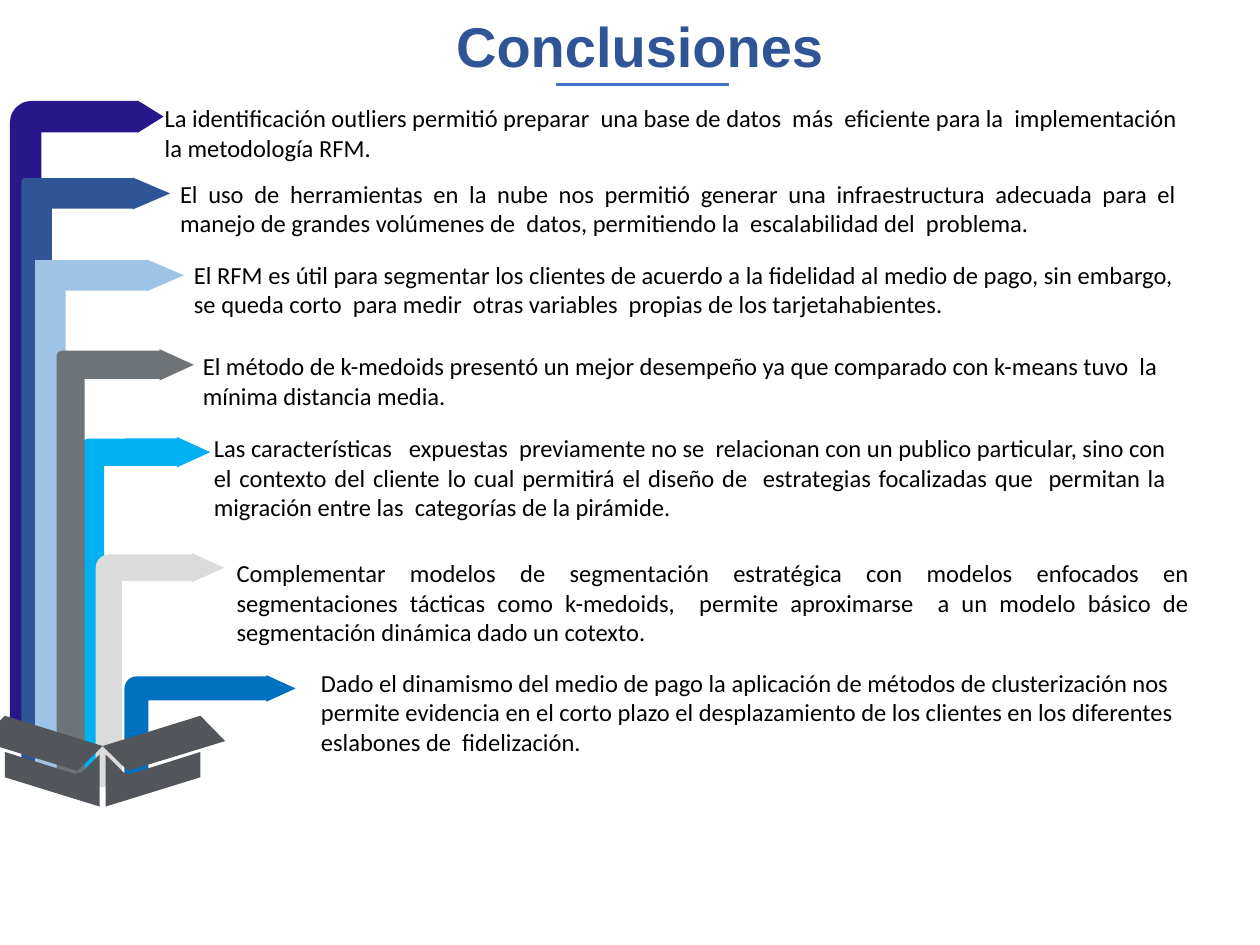
from pptx import Presentation
from pptx import util as u
from pptx.dml.color import RGBColor
from pptx.enum import shapes, text
from pptx.oxml.ns import qn
from lxml import etree

NAVY = RGBColor(0x28, 0x17, 0x8B)
BLUE = RGBColor(0x2F, 0x55, 0x97)
PALE = RGBColor(0x9D, 0xC3, 0xE6)
GRAY = RGBColor(0x6E, 0x73, 0x77)
CYAN = RGBColor(0x00, 0xB0, 0xF0)
SILVER = RGBColor(0xDB, 0xDB, 0xDB)
AZURE = RGBColor(0x00, 0x70, 0xC0)
RULE = RGBColor(0x44, 0x72, 0xC4)
DARK = RGBColor(0x52, 0x55, 0x5A)
BLACK = RGBColor(0, 0, 0)

LEFT, JUST = text.PP_ALIGN.LEFT, text.PP_ALIGN.JUSTIFY

# Back to front: colour, arrow box (cm), arrow adjustments,
# note left, top, width (cm), lines, alignment, wording
POINTS = [
    (NAVY, (0.2, 2.03, 3.1, 12.75), (0.205, 0.104, 0.167, 0.142),
     (3.07, 1.96, 20.96), 2, LEFT,
     "La identificación outliers permitió preparar  una base de datos  más  "
     "eficiente para la  implementación la metodología RFM."),
    (BLUE, (0.43, 3.58, 3, 12.17), (0.205, 0.107, 0.25, 0.025),
     (3.38, 3.48, 20.6), 2, JUST,
     "El uso de herramientas en la nube nos permitió generar una "
     "infraestructura adecuada para el manejo de grandes volúmenes de  datos, "
     "permitiendo la  escalabilidad del  problema."),
    (PALE, (0.71, 5.23, 3, 10.54), (0.205, 0.107, 0.25, 0),
     (3.66, 5.11, 20.37), 2, JUST,
     "El RFM es útil para segmentar los clientes de acuerdo a la fidelidad al "
     "medio de pago, sin embargo,  se queda corto  para medir  otras "
     "variables  propias de los tarjetahabientes."),
    (CYAN, (1.55, 8.81, 2.69, 6.88), (0.205, 0.114, 0.25, 0.102),
     (4.06, 8.61, 19.71), 3, JUST,
     "Las características   expuestas  previamente no se  relacionan con un "
     "publico particular, sino con el contexto del cliente lo cual permitirá "
     "el diseño de  estrategias focalizadas que  permitan la migración entre "
     "las  categorías de la pirámide."),
    (GRAY, (1.14, 7.04, 2.77, 8.94), (0.205, 0.114, 0.25, 0.04),
     (3.84, 6.96, 20.29), 2, LEFT,
     "El método de k-medoids presentó un mejor desempeño ya que comparado con "
     "k-means tuvo  la mínima distancia media."),
    (SILVER, (1.93, 11.15, 2.59, 4.72), (0.205, 0.114, 0.25, 0.102),
     (4.52, 11.13, 19.71), 3, JUST,
     "Complementar modelos de segmentación estratégica con modelos enfocados "
     "en segmentaciones tácticas como k-medoids,  permite aproximarse  a "
     "un modelo básico de segmentación dinámica dado un cotexto."),
    (AZURE, (2.51, 13.61, 3.45, 2.36), (0.205, 0.114, 0.25, 0.102),
     (6.22, 13.34, 18.75), 3, LEFT,
     "Dado el dinamismo del medio de pago la aplicación de métodos de "
     "clusterización nos permite evidencia en el corto plazo el "
     "desplazamiento de los clientes en los diferentes eslabones de  "
     "fidelización."),
]

# Right half of the open box: distance from its centre line, height (cm)
MID = 2.07
SIDE = [(1.97, 15.16), (0.57, 15.6), (0.51, 15.59), (0.42, 15.57),
        (0.06, 15.21), (0.06, 16.26), (1.97, 15.67)]
FLAP = [(1.97, 14.43), (0, 15.04), (0.51, 15.54), (2.47, 14.94)]


def cms(*nums):
    return [u.Cm(n) for n in nums]


def paint(shape, color):
    shape.shadow.inherit = False
    shape.fill.solid()
    shape.fill.fore_color.rgb = color
    shape.line.fill.background()


def style(para, font, size, color, bold=False):
    for run in para.runs:
        run.font.name = font
        run.font.size = u.Pt(size)
        run.font.bold = bold
        run.font.color.rgb = color


def add_title(slide, words):
    title = slide.shapes.title
    title.left, title.top, title.width, title.height = cms(2.41, 0.58, 20.98, 1.2)
    frame = title.text_frame
    frame.text = words
    frame.word_wrap = True
    frame.auto_size = text.MSO_AUTO_SIZE.SHAPE_TO_FIT_TEXT
    frame.vertical_anchor = text.MSO_ANCHOR.TOP
    para = frame.paragraphs[0]
    para.alignment = text.PP_ALIGN.CENTER
    para.line_spacing = u.Pt(25)
    style(para, "Arial", 32, BLUE, True)


def add_rule(slide, left, right, y):
    line = slide.shapes.add_connector(
        shapes.MSO_CONNECTOR.STRAIGHT, *cms(left, y, right, y))
    line.line.color.rgb = RULE
    line.line.width = u.Pt(1.5)
    etree.SubElement(line._element.spPr, qn("a:effectLst"))


def add_arrow(slide, box, bends, color):
    arrow = slide.shapes.add_shape(shapes.MSO_SHAPE.BENT_ARROW, *cms(*box))
    for i, bend in enumerate(bends):
        arrow.adjustments[i] = bend
    paint(arrow, color)


def add_note(slide, spot, lines, align, words):
    note = slide.shapes.add_textbox(*cms(*spot, 0.25 + 0.6 * lines))
    frame = note.text_frame
    frame.word_wrap = True
    frame.auto_size = text.MSO_AUTO_SIZE.SHAPE_TO_FIT_TEXT
    frame.text = words
    para = frame.paragraphs[0]
    para.alignment = align
    style(para, "Calibri", 14, BLACK)


def add_box(slide):
    group = slide.shapes.add_group_shape()
    for part in (SIDE, FLAP):
        for sign in (1, -1):
            dots = [cms(MID + sign * x, y) for x, y in part]
            pen = group.shapes.build_freeform(*dots[0])
            pen.add_line_segments(dots[1:], close=True)
            paint(pen.convert_to_shape(), DARK)


def main():
    deck = Presentation()
    deck.slide_width, deck.slide_height = cms(25.4, 19.05)
    slide = deck.slides.add_slide(deck.slide_layouts[5])

    # Heading
    add_title(slide, "Conclusiones")
    add_rule(slide, 11.2, 14.7, 1.7)

    # Conclusions, each with its arrow
    for color, box, bends, spot, lines, align, words in POINTS:
        add_arrow(slide, box, bends, color)
        add_note(slide, spot, lines, align, words)

    # Open box in front of the arrows
    add_box(slide)
    deck.save("out.pptx")


if __name__ == "__main__":
    main()
